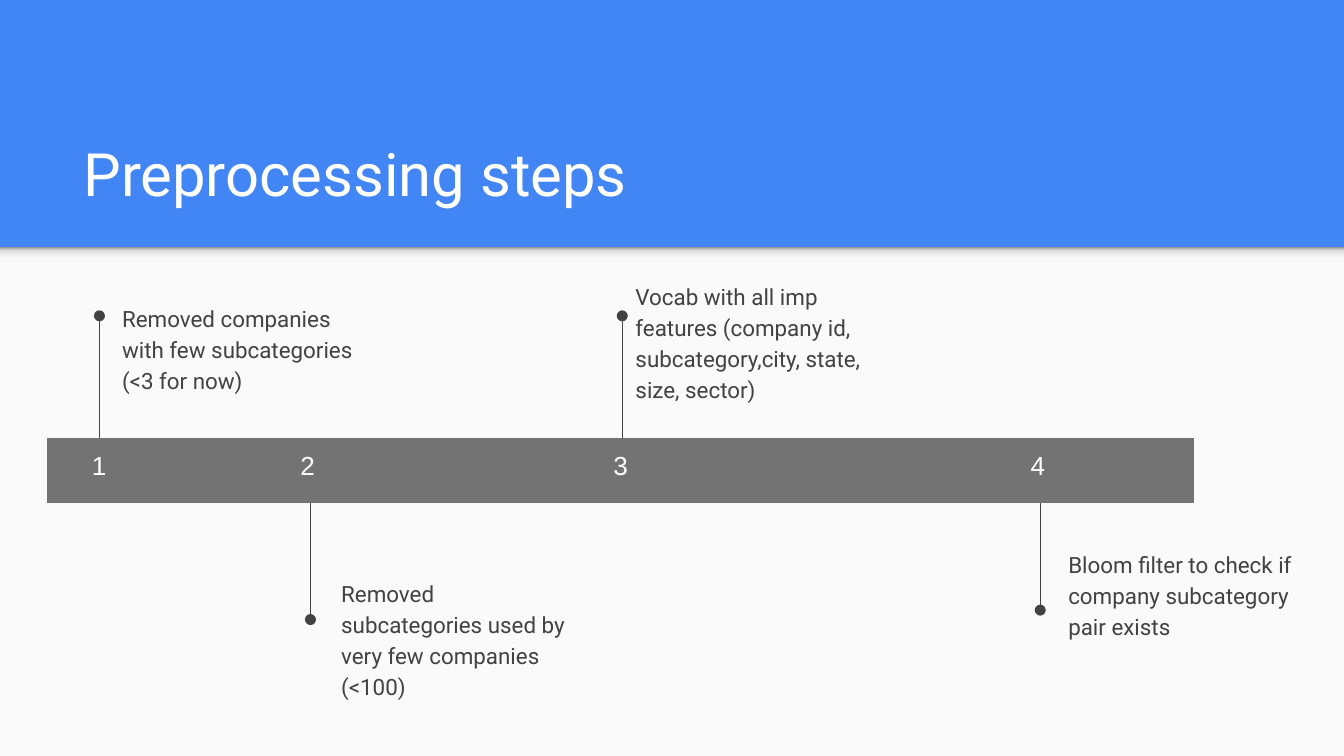
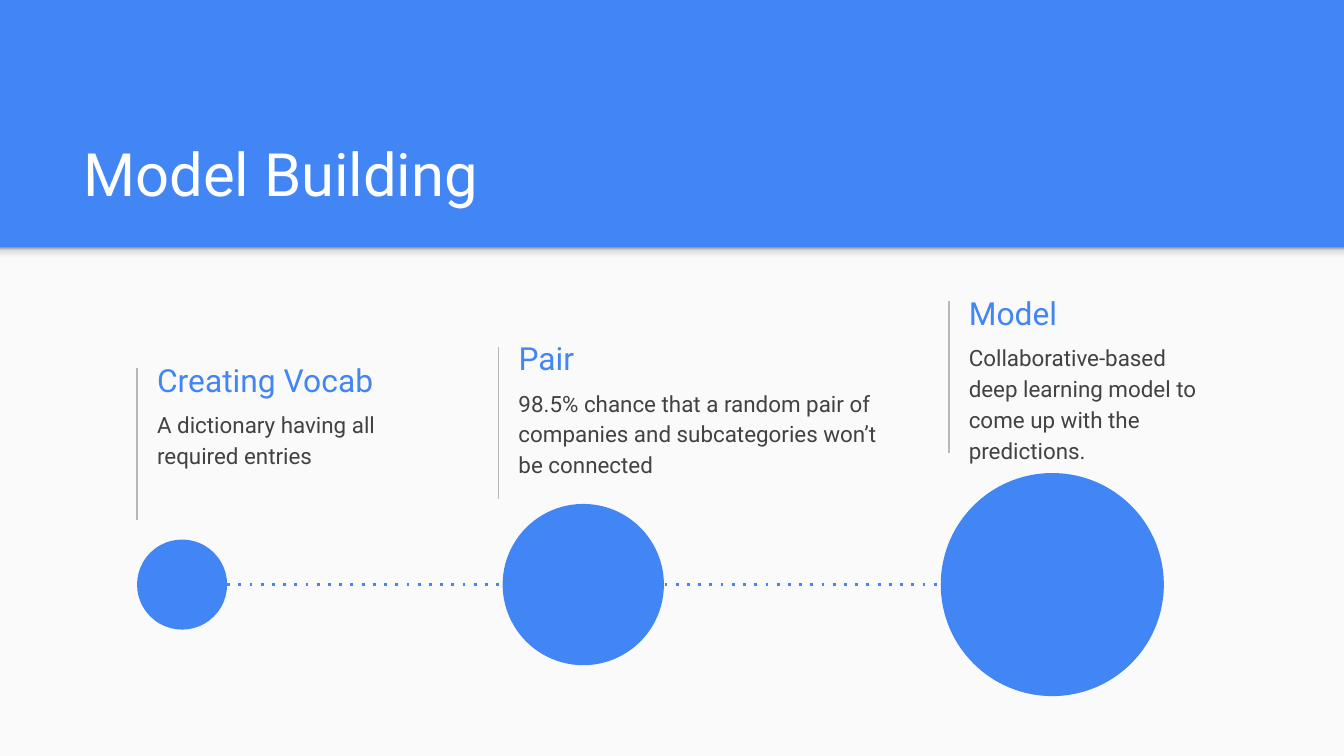
from lxml import etree
from pptx import Presentation
from pptx.dml.color import RGBColor
from pptx.enum.shapes import MSO_CONNECTOR, MSO_SHAPE
from pptx.enum.text import MSO_ANCHOR, MSO_AUTO_SIZE, PP_ALIGN
from pptx.oxml.ns import qn
from pptx.util import Inches, Pt

RECT, OVAL = MSO_SHAPE.RECTANGLE, MSO_SHAPE.OVAL
STRAIGHT = MSO_CONNECTOR.STRAIGHT
TOP, MIDDLE, BOTTOM = MSO_ANCHOR.TOP, MSO_ANCHOR.MIDDLE, MSO_ANCHOR.BOTTOM
LEFT, CENTER = PP_ALIGN.LEFT, PP_ALIGN.CENTER
NO_FIT = MSO_AUTO_SIZE.NONE

BLUE, PAPER, WHITE = "4285F4", "FAFAFA", "FFFFFF"
DARK, BAR, RULE = "424242", "737373", "B7B7B7"
SHADE = [(0, "F9F9F9"), (36, "F9F9F9"), (80, "DEDEDE"), (100, "999999")]
WIDTH, BAND = 10, 1.84
HEIGHT = WIDTH * 9 / 16
MARGINS = {f"margin_{side}": Inches(0.1)
           for side in ("left", "right", "top", "bottom")}

TITLE = dict(size=32, color=WHITE, anchor=BOTTOM)
HEADING = dict(size=17, color=BLUE, anchor=MIDDLE)
BODY = dict(size=12, color=DARK, spacing=1.15)

STEPS_TITLE = "Preprocessing steps"
BAR_LEFT, BAR_TOP, BAR_WIDTH, BAR_HEIGHT, BAR_COLS = 0.35, 3.26, 8.54, 0.48, 11
STEPS = [
    dict(col=0, stem=(0.74, 3.27, 2.35), at=(0.81, 2.14),
         text="Removed companies with few subcategories (<3 for now)"),
    dict(col=2, stem=(2.31, 3.69, 4.61), at=(2.44, 4.19),
         text="Removed subcategories used by very few companies (<100)"),
    dict(col=5, stem=(4.63, 3.26, 2.35), at=(4.63, 1.98),
         text="Vocab with all imp features (company id, "
              "subcategory,city, state, size, sector)"),
    dict(col=9, stem=(7.74, 3.62, 4.54), at=(7.85, 3.97),
         text="Bloom filter to check if company subcategory pair exists"),
]

MODEL_TITLE = "Model Building"
AXIS_Y = 4.35
STAGES = [
    dict(head="Creating Vocab", x=1.02, y=2.74, width=1.98,
         circle=(1.02, 0.67), text="A dictionary having all required entries"),
    dict(head="Pair", x=3.71, y=2.58, width=3.06, circle=(3.74, 1.2),
         text="98.5% chance that a random pair of companies and "
              "subcategories won’t be connected"),
    dict(head="Model", x=7.06, y=2.24, width=1.98, circle=(7, 1.66),
         text="Collaborative-based deep learning model to come up "
              "with the predictions."),
]


def rgb(value):
    return RGBColor.from_string(value)


def set_attrs(obj, values):
    for name, value in values.items():
        setattr(obj, name, value)


def add_run(p, text, size, color, font="Roboto"):
    r = p.add_run()
    r.text = text
    set_attrs(r.font, dict(name=font, size=Pt(size)))
    r.font.color.rgb = rgb(color)


def write(tf, text, size, color, anchor=TOP, spacing=1.0):
    set_attrs(tf, dict(MARGINS, word_wrap=True, auto_size=NO_FIT,
                       vertical_anchor=anchor))
    p = tf.paragraphs[0]
    set_attrs(p, dict(alignment=LEFT, line_spacing=spacing))
    add_run(p, text, size, color)


def add_text(s, box, text, style):
    sp = s.shapes.add_textbox(*map(Inches, box))
    write(sp.text_frame, text, **style)


def add_shape(s, kind, box, color):
    sp = s.shapes.add_shape(kind, *map(Inches, box))
    sp.shadow.inherit = False
    sp.fill.solid()
    sp.fill.fore_color.rgb = rgb(color)
    sp.line.fill.background()
    return sp


def add_line(s, start, end, color, width=0.75, extra=None):
    c = s.shapes.add_connector(STRAIGHT, *map(Inches, start + end))
    c.line.color.rgb = rgb(color)
    c.line.width = Pt(width)
    sppr = c._element.spPr
    if extra:
        tag, kind, value = extra
        etree.SubElement(sppr.find(qn("a:ln")), qn(tag)).set(kind, value)
    etree.SubElement(sppr, qn("a:effectLst"))


def shade(sp):
    sp.fill.gradient()
    sp.fill.gradient_angle = 90
    stops = sp._element.spPr.find(qn("a:gradFill")).find(qn("a:gsLst"))
    for stop in list(stops):
        stops.remove(stop)
    for pos, color in SHADE:
        stop = etree.SubElement(stops, qn("a:gs"), pos=str(pos * 1000))
        etree.SubElement(stop, qn("a:srgbClr"), val=color)


def fill_cell(cell, color):
    tcpr = cell._tc.get_or_add_tcPr()
    for side in ("a:lnL", "a:lnR", "a:lnT", "a:lnB"):
        etree.SubElement(etree.SubElement(tcpr, qn(side)), qn("a:noFill"))
    cell.fill.solid()
    cell.fill.fore_color.rgb = rgb(color)


def add_slide(prs, title):
    s = prs.slides.add_slide(prs.slide_layouts[5])
    s.background.fill.solid()
    s.background.fill.fore_color.rgb = rgb(BLUE)
    add_shape(s, RECT, (0, BAND, WIDTH, HEIGHT - BAND), PAPER)
    shade(add_shape(s, RECT, (0, BAND, WIDTH, 0.12), PAPER))
    ph = s.shapes.title
    set_attrs(ph, dict(left=Inches(0.52), top=Inches(0.81),
                       width=Inches(8.99), height=Inches(0.84)))
    write(ph.text_frame, title, **TITLE)
    return s


def add_steps(prs):
    s = add_slide(prs, STEPS_TITLE)
    for step in STEPS:
        x, start, end = step["stem"]
        add_line(s, (x, start), (x, end), DARK, extra=("a:tailEnd", "type", "oval"))
        add_text(s, step["at"] + (1.98, 0.63), step["text"], BODY)
    box = (BAR_LEFT, BAR_TOP, BAR_WIDTH, BAR_HEIGHT)
    table = s.shapes.add_table(1, BAR_COLS, *map(Inches, box)).table
    table.first_row = table.horz_banding = False
    for cell in table.iter_cells():
        fill_cell(cell, BAR)
    for number, step in enumerate(STEPS, 1):
        cell = table.cell(0, step["col"])
        set_attrs(cell, MARGINS)
        p = cell.text_frame.paragraphs[0]
        p.alignment = CENTER
        add_run(p, str(number), 14, WHITE, "Arial")


def add_stages(prs):
    s = add_slide(prs, MODEL_TITLE)
    for stage in STAGES:
        x, y = stage["x"], stage["y"]
        add_line(s, (x, y), (x, y + 1.13), RULE)
        add_text(s, (x + 0.05, y - 0.13, 1.98, 0.43), stage["head"], HEADING)
        add_text(s, (x + 0.05, y + 0.19, stage["width"], 0.63), stage["text"], BODY)
    first_x, first_size = STAGES[0]["circle"]
    add_line(s, (first_x + first_size, AXIS_Y), (STAGES[-1]["circle"][0], AXIS_Y),
             BLUE, 1.5, ("a:prstDash", "val", "dot"))
    for stage in STAGES:
        x, size = stage["circle"]
        add_shape(s, OVAL, (x, AXIS_Y - size / 2, size, size), BLUE)


def main():
    prs = Presentation()
    prs.slide_width, prs.slide_height = Inches(WIDTH), Inches(HEIGHT)
    add_steps(prs)
    add_stages(prs)
    prs.save("out.pptx")


if __name__ == "__main__":
    main()
